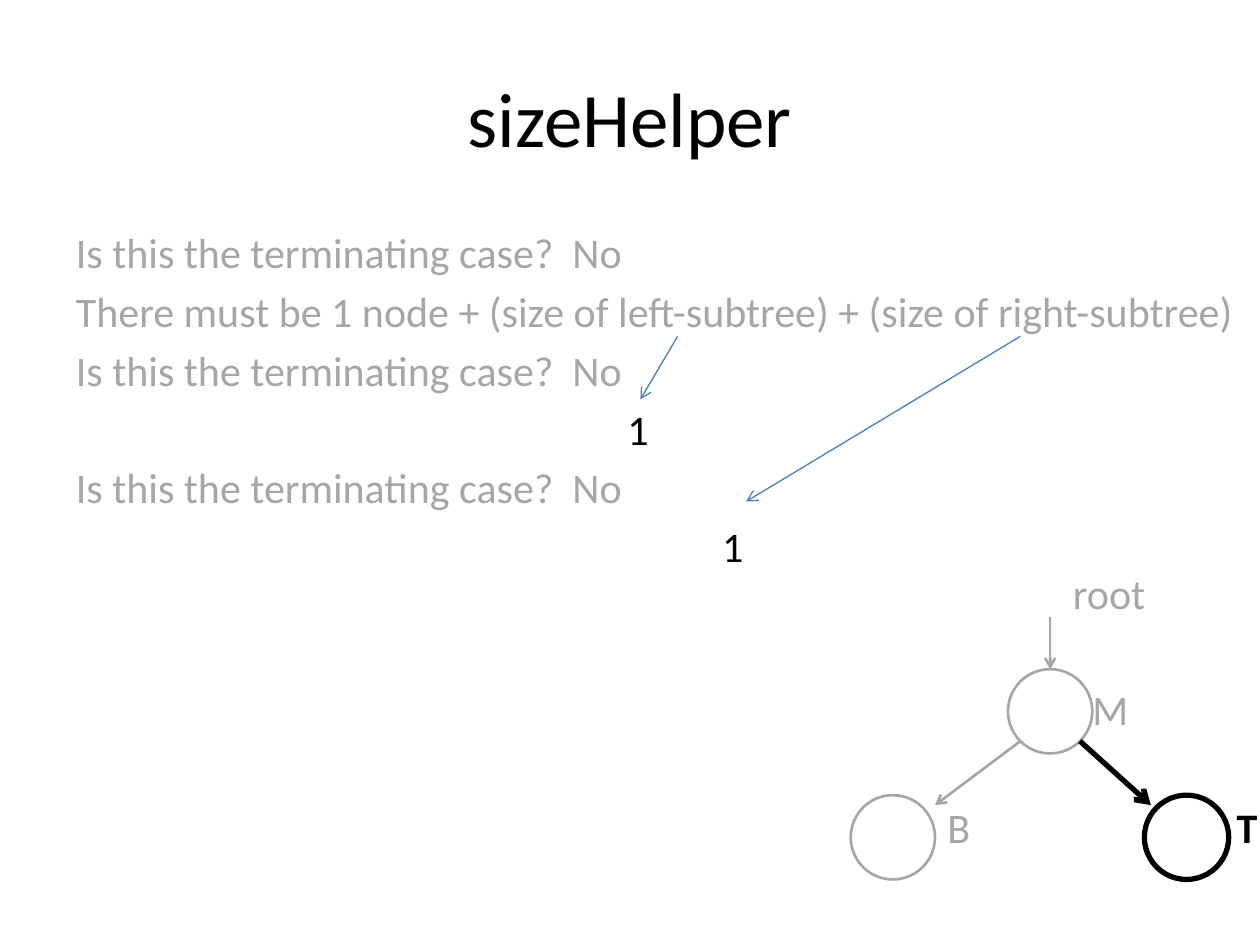
from lxml import etree
from pptx import Presentation
from pptx.dml.color import RGBColor
from pptx.enum.shapes import MSO_CONNECTOR, MSO_SHAPE
from pptx.enum.text import MSO_ANCHOR, PP_ALIGN
from pptx.oxml.ns import qn
from pptx.util import Cm, Pt

STRAIGHT = MSO_CONNECTOR.STRAIGHT
OVAL = MSO_SHAPE.OVAL
MIDDLE, TOP = MSO_ANCHOR.MIDDLE, MSO_ANCHOR.TOP
CENTER, LEFT = PP_ALIGN.CENTER, PP_ALIGN.LEFT
GREY, BLACK, BLUE = "A6A6A6", "000000", "4B7EBC"


def rgb(value):
    return RGBColor.from_string(value)


def add_text(s, box, lines, size, anchor=TOP, align=LEFT, bold=False):
    sp = s.shapes.add_textbox(*[Cm(v) for v in box])
    tf = sp.text_frame
    tf.word_wrap = True
    tf.vertical_anchor = anchor
    tf.margin_left = tf.margin_right = tf.margin_top = tf.margin_bottom = 0
    for i, (text, color, indent) in enumerate(lines):
        p = tf.paragraphs[0] if i == 0 else tf.add_paragraph()
        p.alignment = align
        if i:
            p.space_before = Pt(4.8)
        if indent:
            p._p.get_or_add_pPr().set("marL", str(Cm(indent)))
        r = p.add_run()
        r.text = text
        r.font.name = "Calibri"
        r.font.size = Pt(size)
        r.font.bold = bold
        r.font.color.rgb = rgb(color)


prs = Presentation()
prs.slide_width, prs.slide_height = Cm(25.4), Cm(19.05)
s = prs.slides.add_slide(prs.slide_layouts[6])

add_text(s, (1.27, 0.76, 22.86, 3.18), [("sizeHelper", BLACK, 0)], 44, MIDDLE, CENTER)

question = ("Is this the terminating case?  No", GREY, 0)
steps = [
    question,
    ("There must be 1 node + (size of left-subtree) + (size of right-subtree)", GREY, 0),
    question,
    ("1", BLACK, 11.12),
    question,
    ("1", BLACK, 13.03),
]
add_text(s, (1.53, 4.57, 23.7, 12.3), steps, 24)

labels = [
    ("root", 21.63, 11.44, 2, GREY, False),
    ("M", 22.02, 13.78, 1, GREY, False),
    ("B", 19.1, 16.15, 1, GREY, False),
    ("T", 24.93, 16.15, 0.47, BLACK, True),
]
for text, x, y, width, color, bold in labels:
    add_text(s, (x, y, width, 1.04), [(text, color, 0)], 24, bold=bold)

nodes = [(20.32, 13.49, GREY, 1.5), (17.15, 16.03, GREY, 1.5), (23.07, 16.03, BLACK, 3)]
for x, y, color, width in nodes:
    sp = s.shapes.add_shape(OVAL, Cm(x), Cm(y), Cm(1.7), Cm(1.7))
    sp.shadow.inherit = False
    sp.fill.background()
    sp.line.color.rgb = rgb(color)
    sp.line.width = Pt(width)

arrows = [
    (21.17, 12.43, 21.17, 13.49, GREY, 1.5),
    (20.57, 14.94, 18.85, 16.23, GREY, 1.5),
    (21.77, 14.94, 23.2, 16.23, BLACK, 3),
    (13.66, 6.78, 12.91, 8.05, BLUE, 0.75),
    (20.57, 6.78, 15.04, 10.11, BLUE, 0.75),
]
for x1, y1, x2, y2, color, width in arrows:
    line = s.shapes.add_connector(STRAIGHT, Cm(x1), Cm(y1), Cm(x2), Cm(y2))
    line.line.color.rgb = rgb(color)
    line.line.width = Pt(width)
    spPr = line._element.spPr
    etree.SubElement(spPr.find(qn("a:ln")), qn("a:tailEnd"), type="arrow")
    etree.SubElement(spPr, qn("a:effectLst"))

prs.save("out.pptx")
